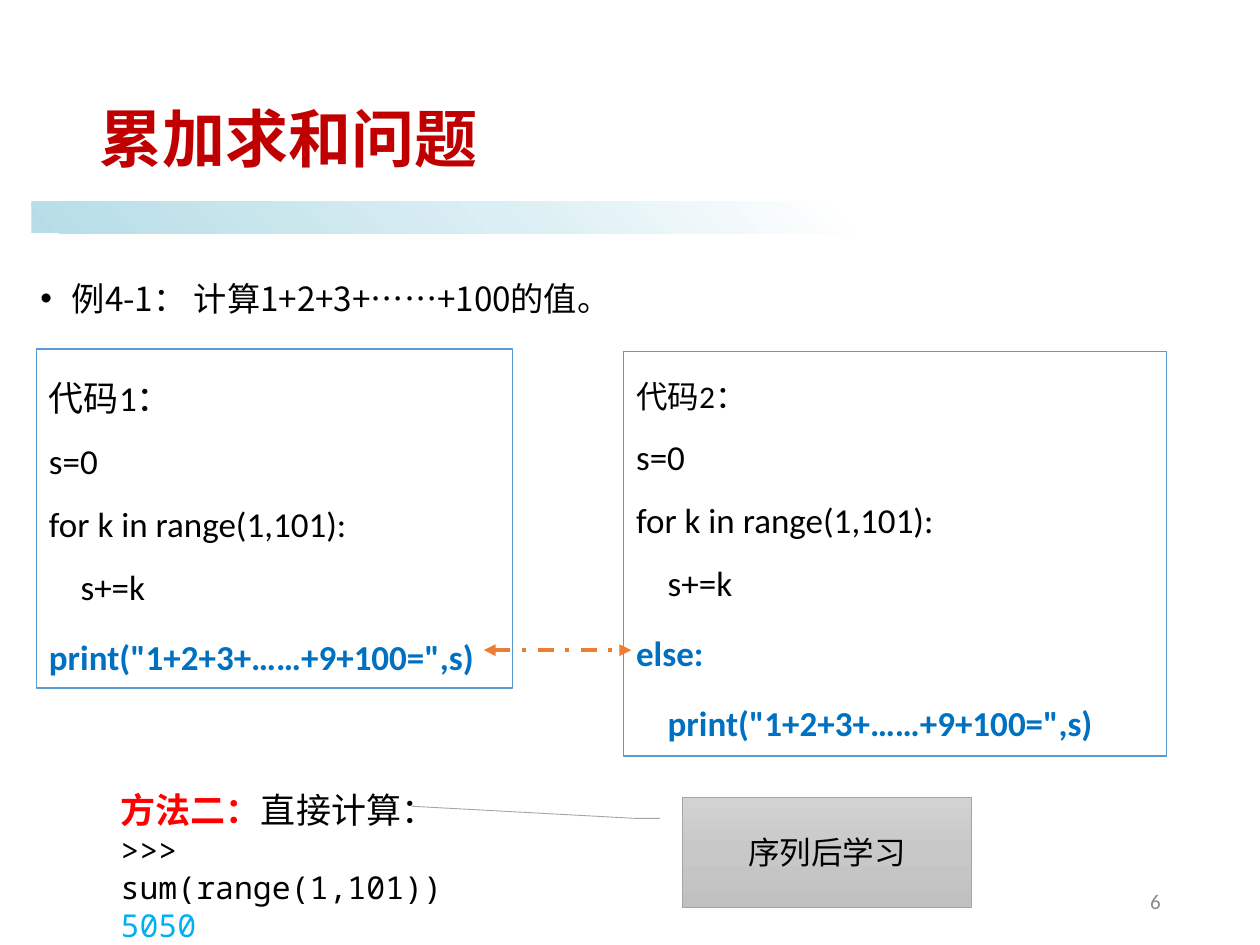
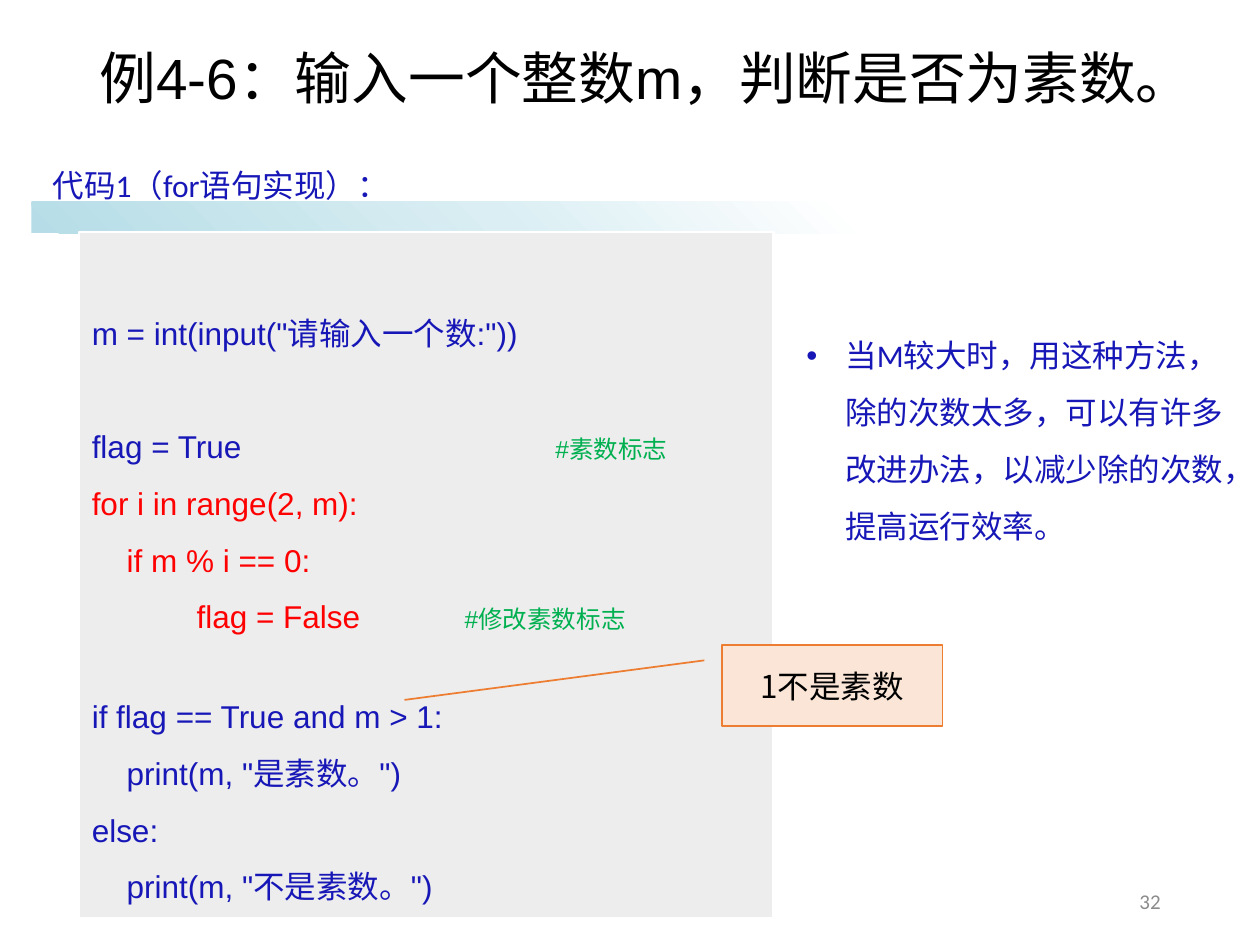
import pptx
import pptx.dml.color
import pptx.enum.dml
import pptx.enum.shapes
import pptx.enum.text
import pptx.oxml
import pptx.oxml.ns
import pptx.util
from lxml import etree

RGBColor = pptx.dml.color.RGBColor
SHAPE = pptx.enum.shapes.MSO_SHAPE
ANCHOR = pptx.enum.text.MSO_ANCHOR
ALIGN = pptx.enum.text.PP_ALIGN
Pt = pptx.util.Pt
qn = pptx.oxml.ns.qn

WIDTH = pptx.util.Inches(10)
HEIGHT = pptx.util.Inches(7.5)
COLUMN = WIDTH / 100
ROW = HEIGHT / 75

BLACK = RGBColor(0x00, 0x00, 0x00)
WHITE = RGBColor(0xFF, 0xFF, 0xFF)
DARK_RED = RGBColor(0xC0, 0x00, 0x00)
RED = RGBColor(0xFF, 0x00, 0x00)
NAVY = RGBColor(0x17, 0x17, 0xB7)
BLUE = RGBColor(0x00, 0x70, 0xC0)
SKY = RGBColor(0x00, 0xB0, 0xF0)
FRAME_BLUE = RGBColor(0x5B, 0x9B, 0xD5)
GREEN = RGBColor(0x00, 0xB0, 0x50)
ORANGE = RGBColor(0xED, 0x7D, 0x31)
PEACH = RGBColor(0xFB, 0xE5, 0xD6)
PALE_GRAY = RGBColor(0xED, 0xED, 0xED)
MID_GRAY = RGBColor(0xA5, 0xA5, 0xA5)
PAGE_GRAY = RGBColor(0x8C, 0x8C, 0x8C)
BAND_STOPS = [
    (0, RGBColor(0xB6, 0xDD, 0xE7)),
    (40, RGBColor(0xDA, 0xEE, 0xF3)),
    (70, WHITE),
    (100, WHITE),
]
NOTE_STOPS = [
    (0, RGBColor(0xD2, 0xD2, 0xD2)),
    (50, RGBColor(0xC8, 0xC8, 0xC8)),
    (100, RGBColor(0xC0, 0xC0, 0xC0)),
]

SANS = "Calibri"
ARIAL = "Arial"
MONO = "Noto Sans Mono"
CJK = "Noto Sans CJK SC"


def grid(left, top, columns, rows):
    return [round(n) for n in (left * COLUMN, top * ROW, columns * COLUMN, rows * ROW)]


def add_text(frame, text, size=18, color=BLACK, font=SANS, bold=False, spacing=1.0,
             before=0, align=ALIGN.LEFT, hanging=0, tab=0, same_line=False):
    if same_line or not frame.text:
        paragraph = frame.paragraphs[-1]
    else:
        paragraph = frame.add_paragraph()
    if not same_line:
        paragraph.alignment = align
        paragraph.line_spacing = spacing
        paragraph.space_before = Pt(before)
        properties = paragraph._p.get_or_add_pPr()
        if hanging:
            properties.set("marL", str(round(hanging * COLUMN)))
            properties.set("indent", str(round(-hanging * COLUMN)))
        if tab:
            stops = etree.SubElement(properties, qn("a:tabLst"))
            etree.SubElement(stops, qn("a:tab"), pos=str(round(tab * COLUMN)), algn="l")
    run = paragraph.add_run()
    run.text = text
    run.font.name = font
    run.font.size = Pt(size)
    run.font.bold = bold
    run.font.color.rgb = color
    run.font.language_id = pptx.enum.lang.MSO_LANGUAGE_ID.SIMPLIFIED_CHINESE
    etree.SubElement(run._r.get_or_add_rPr(), qn("a:ea"), typeface=CJK)


def set_gradient(shape, stops, angle):
    shape.fill.gradient()
    gradient = shape._element.spPr.find(qn("a:gradFill"))
    for child in list(gradient):
        gradient.remove(child)
    stop_list = etree.SubElement(gradient, qn("a:gsLst"))
    for share, color in stops:
        stop = etree.SubElement(stop_list, qn("a:gs"), pos=str(share * 1000))
        etree.SubElement(stop, qn("a:srgbClr"), val=str(color))
    etree.SubElement(gradient, qn("a:lin"), ang=str(angle * 60000), scaled="0")


def add_panel(slide, place, kind=SHAPE.RECTANGLE, fill=None, line=None, line_width=0.75,
              anchor=ANCHOR.TOP, adjustments=()):
    panel = slide.shapes.add_shape(kind, *grid(*place))
    panel.shadow.inherit = False
    for index, value in enumerate(adjustments):
        panel.adjustments[index] = value
    if fill is None:
        panel.fill.background()
    else:
        panel.fill.solid()
        panel.fill.fore_color.rgb = fill
    if line is None:
        panel.line.fill.background()
    else:
        panel.line.color.rgb = line
        panel.line.width = Pt(line_width)
    panel.text_frame.word_wrap = True
    panel.text_frame.vertical_anchor = anchor
    return panel


def add_label(slide, place, wrap=True, anchor=ANCHOR.TOP):
    frame = slide.shapes.add_textbox(*grid(*place)).text_frame
    frame.word_wrap = wrap
    frame.vertical_anchor = anchor
    return frame


def place_placeholder(placeholder, place, anchor):
    placeholder.left, placeholder.top, placeholder.width, placeholder.height = grid(*place)
    frame = placeholder.text_frame
    frame.auto_size = pptx.enum.text.MSO_AUTO_SIZE.NONE
    frame.word_wrap = True
    frame.vertical_anchor = anchor
    return frame


def add_slide(deck, title, page, anchor=ANCHOR.MIDDLE, **title_format):
    slide = deck.slides.add_slide(deck.slide_layouts[1])
    heading = place_placeholder(slide.shapes.title, (6.9, 4, 86.2, 14.5), anchor)
    if anchor == ANCHOR.TOP:
        heading.margin_top = 0
    add_text(heading, title, spacing=0.9, **title_format)
    footer = add_label(slide, (70.6, 69.5, 22.5, 4), anchor=ANCHOR.MIDDLE)
    add_text(footer, str(page), size=12, color=PAGE_GRAY, align=ALIGN.RIGHT)
    return slide


def add_bullet(slide, text, place, **text_format):
    frame = place_placeholder(slide.placeholders[1], place, ANCHOR.TOP)
    add_text(frame, text, spacing=1.5, **text_format)


def add_band(deck, slide):
    band = add_panel(slide, (2.5, 16, 93.3, 2.5))
    set_gradient(band, BAND_STOPS, 315)
    deck.slide_master.shapes.element.insert(2, band._element)


def add_sum_code(slide, place, heading, heading_size, closing):
    frame = add_panel(slide, place, line=FRAME_BLUE).text_frame
    add_text(frame, heading, size=heading_size, spacing=1.5)
    for code in ("s=0", "for k in range(1,101):", "    s+=k"):
        add_text(frame, code, size=20, spacing=1.5)
    for code in closing:
        add_text(frame, code, size=20, color=BLUE, bold=True, spacing=1.5, before=4)


def add_double_arrow(slide, left, right, row):
    start_x, y, end_x, _ = grid(left, row, right, 0)
    arrow = slide.shapes.add_connector(
        pptx.enum.shapes.MSO_CONNECTOR.STRAIGHT, start_x, y, end_x, y)
    arrow.line.color.rgb = ORANGE
    arrow.line.width = Pt(2.25)
    arrow.line.dash_style = pptx.enum.dml.MSO_LINE.DASH_DOT
    outline = arrow.line._get_or_add_ln()
    for end in ("a:headEnd", "a:tailEnd"):
        etree.SubElement(outline, qn(end), type="triangle")
    etree.SubElement(arrow._element.spPr, qn("a:effectLst"))


def build_sum_slide(deck):
    slide = add_slide(deck, "累加求和问题", 6, size=36, color=DARK_RED, bold=True)
    add_band(deck, slide)
    add_bullet(slide, "例4-1： 计算1+2+3+……+100的值。", (2.2, 20, 48.7, 6.6),
               size=19, font=CJK, hanging=2.5)
    result = 'print("1+2+3+……+9+100=",s)'
    add_sum_code(slide, (2.9, 27.7, 37.8, 26.9), "代码1：", 20, [result])
    add_sum_code(slide, (49.5, 27.9, 43.1, 32.1), "代码2：", 18, ["else:", "    " + result])

    direct = add_label(slide, (8.6, 62.1, 33.3, 10.4))
    add_text(direct, "方法二：", size=20, color=RED, font=MONO, bold=True)
    add_text(direct, "直接计算：", size=20, font=MONO, same_line=True)
    add_text(direct, ">>> sum(range(1,101))", font=MONO)
    add_text(direct, "5050", color=SKY, font=MONO)

    add_double_arrow(slide, 38.4, 50.1, 51.6)
    later = add_panel(slide, (54.2, 63.3, 22.9, 8.7), SHAPE.LINE_CALLOUT_2,
                      line=MID_GRAY, line_width=0.5, anchor=ANCHOR.MIDDLE,
                      adjustments=(0.19, -0.08, 0.19, -0.17, 0.08, -0.94))
    set_gradient(later, NOTE_STOPS, 90)
    add_text(later.text_frame, "序列后学习", align=ALIGN.CENTER)


def build_prime_slide(deck):
    slide = add_slide(deck, "例4-6：输入一个整数m，判断是否为素数。", 32,
                      anchor=ANCHOR.TOP, size=32.4, font=ARIAL)
    listing = add_panel(slide, (6.3, 18.4, 55.1, 54.5), fill=PALE_GRAY,
                        line=WHITE, line_width=1.25).text_frame
    listing.margin_top = round(5 * ROW)
    code_lines = [
        ('m = int(input("请输入一个数:"))', NAVY, 0, "", 0),
        ("flag = True", NAVY, 32.4, "#素数标志", 36.8),
        ("for i in range(2, m):", RED, 0, "", 0),
        ("    if m % i == 0:", RED, 0, "", 0),
        ("            flag = False", RED, 0, "#修改素数标志", 29.6),
        ("if flag == True and m > 1:", NAVY, 24.8, "", 0),
        ('    print(m, "是素数。")', NAVY, 0, "", 0),
        ("else:", NAVY, 0, "", 0),
        ('    print(m, "不是素数。")', NAVY, 0, "", 0),
    ]
    for code, color, before, remark, tab in code_lines:
        add_text(listing, code + ("\t" if remark else ""), color=color, font=ARIAL,
                 spacing=1.5, before=before, tab=tab)
        if remark:
            add_text(listing, remark, size=14, color=GREEN, font=ARIAL, same_line=True)

    method = add_label(slide, (3.2, 11.2, 28.9, 5.6), wrap=False)
    add_text(method, "代码1（for语句实现）：", color=NAVY, spacing=1.5)
    exception = add_panel(slide, (57.3, 51.2, 17.5, 6.4), SHAPE.LINE_CALLOUT_1, fill=PEACH,
                          line=ORANGE, line_width=1, anchor=ANCHOR.MIDDLE,
                          adjustments=(0.19, -0.08, 0.68, -1.44))
    add_text(exception.text_frame, "1不是素数", font=CJK, align=ALIGN.CENTER)
    add_bullet(slide, "当M较大时，用这种方法，除的次数太多，可以有许多改进办法，"
               "以减少除的次数，提高运行效率。", (63, 24.7, 35.7, 18.7),
               color=NAVY, hanging=3.1)


def main():
    deck = pptx.Presentation()
    deck.slide_width, deck.slide_height = WIDTH, HEIGHT
    build_sum_slide(deck)
    build_prime_slide(deck)
    deck.save("out.pptx")


if __name__ == "__main__":
    import pptx.enum.lang
    main()
